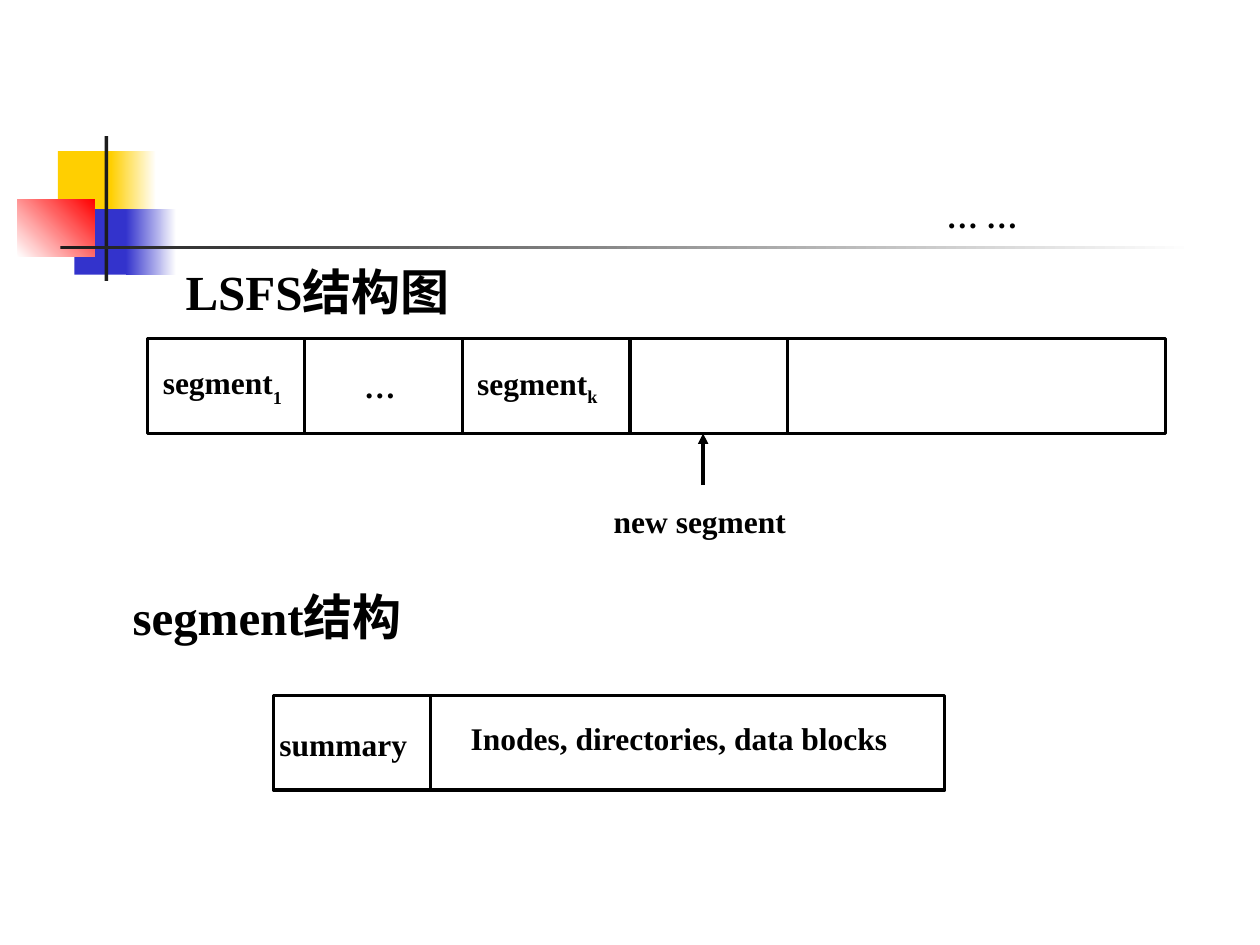
from typing import NamedTuple, Optional

from lxml import etree
from pptx import Presentation
from pptx import util as u
from pptx.dml import color
from pptx.enum import shapes, text
from pptx.oxml import ns

COLORS = {
    "black": "000000", "white": "FFFFFF", "yellow": "FFCF01",
    "blue": "3333CC", "red": "FF0000", "bar": "1C1C1C",
}
LATIN, CJK = "Times New Roman", "Noto Sans CJK SC"


class Block(NamedTuple):
    x: float
    y: float
    w: float
    h: float
    start: str
    end: Optional[str] = None
    angle: float = 0


class Strip(NamedTuple):
    x: float
    y: float
    w: float
    h: float
    dividers: tuple[float, ...]


class Label(NamedTuple):
    x: float
    y: float
    w: float
    h: float
    runs: tuple
    size: float = 18


DECOR = (
    Block(0.46, 1.2, 0.48, 0.52, "yellow"),
    Block(0.88, 1.2, 0.36, 0.52, "yellow", "white"),
    Block(0.59, 1.66, 0.46, 0.52, "blue"),
    Block(1, 1.66, 0.4, 0.52, "blue", "white"),
    Block(0.14, 1.58, 0.61, 0.46, "white", "red", 45),
    Block(0.83, 1.08, 0.03, 1.15, "bar"),
    Block(0.48, 1.95, 9, 0.03, "bar", "white"),
)
STRIPS = (
    Strip(1.17, 2.69, 8.08, 0.75, (2.42, 3.67, 5, 6.25)),
    Strip(2.17, 5.52, 5.33, 0.75, (3.42,)),
)
TITLE = Label(1.22, 2.02, 2.6, 0.58, (("LSFS", LATIN), ("结构图", CJK)), 28)
LABELS = (
    Label(1.14, 2.85, 1.25, 0.42, (("segment", LATIN), ("1", LATIN, -30))),
    Label(2.39, 2.85, 1.25, 0.42, (("…", LATIN),)),
    Label(3.64, 2.85, 1.25, 0.42, (("segment", LATIN), ("k", LATIN, -25))),
    Label(4.89, 3.97, 1.33, 0.33, (("new segment", LATIN),)),
    Label(7.17, 1.5, 1.25, 0.42, (("… …", LATIN),)),
    Label(0.62, 4.6, 3, 0.58, (("segment", LATIN), ("结构", CJK)), 28),
    Label(2.1, 5.69, 1.25, 0.42, (("summary", LATIN),)),
    Label(3.68, 5.69, 3.42, 0.33, (("Inodes, directories, data blocks", LATIN),)),
)


def rgb(name: str) -> color.RGBColor:
    return color.RGBColor.from_string(COLORS[name])


def add_rect(s, x: float, y: float, w: float, h: float):
    sp = s.shapes.add_shape(shapes.MSO_SHAPE.RECTANGLE, *map(u.Inches, (x, y, w, h)))
    sp.shadow.inherit = False
    return sp


def add_block(s, b: Block) -> None:
    sp = add_rect(s, b.x, b.y, b.w, b.h)
    sp.line.fill.background()
    if b.end is None:
        sp.fill.solid()
        sp.fill.fore_color.rgb = rgb(b.start)
        return
    sp.fill.gradient()
    sp.fill.gradient_angle = b.angle
    for stop, name, position in zip(sp.fill.gradient_stops, (b.start, b.end), (0, 1)):
        stop.color.rgb = rgb(name)
        stop.position = position


def add_line(s, x1: float, y1: float, x2: float, y2: float,
             width: float = 1.75, arrow: bool = False) -> None:
    ln = s.shapes.add_connector(shapes.MSO_CONNECTOR.STRAIGHT,
                                *map(u.Inches, (x1, y1, x2, y2)))
    ln.line.color.rgb = rgb("black")
    ln.line.width = u.Pt(width)
    if arrow:
        etree.SubElement(ln.line._get_or_add_ln(), ns.qn("a:tailEnd"), type="triangle")
    etree.SubElement(ln._element.spPr, ns.qn("a:effectLst"))


def add_strip(s, strip: Strip) -> None:
    sp = add_rect(s, strip.x, strip.y, strip.w, strip.h)
    sp.fill.background()
    sp.line.color.rgb = rgb("black")
    sp.line.width = u.Pt(1.75)
    for x in strip.dividers:
        add_line(s, x, strip.y, x, strip.y + strip.h)


def add_run(p, content: str, *, font: str, size: float, baseline: int = 0) -> None:
    r = p.add_run()
    r.text = content
    r.font.name = font
    r.font.size = u.Pt(size)
    r.font.bold = True
    r.font.color.rgb = rgb("black")
    if font == CJK:
        etree.SubElement(r.font._element, ns.qn("a:ea"), typeface=font)
    if baseline:
        r.font._element.set("baseline", str(baseline * 1000))


def write_label(sp, label: Label) -> None:
    sp.left, sp.top, sp.width, sp.height = map(u.Inches, label[:4])
    tf = sp.text_frame
    tf.word_wrap = False
    tf.auto_size = text.MSO_AUTO_SIZE.NONE
    tf.vertical_anchor = text.MSO_ANCHOR.MIDDLE
    p = tf.paragraphs[0]
    p.alignment = text.PP_ALIGN.CENTER
    for content, font, *baseline in label.runs:
        add_run(p, content, font=font, size=label.size, baseline=sum(baseline))


def main() -> None:
    prs = Presentation()
    prs.slide_width, prs.slide_height = u.Inches(10), u.Inches(7.5)
    s = prs.slides.add_slide(prs.slide_layouts[5])
    for block in DECOR:
        add_block(s, block)
    write_label(s.shapes.title, TITLE)
    for strip in STRIPS:
        add_strip(s, strip)
    add_line(s, 5.58, 3.85, 5.58, 3.44, width=2, arrow=True)
    for label in LABELS:
        write_label(s.shapes.add_textbox(0, 0, 0, 0), label)
    prs.save("out.pptx")


if __name__ == "__main__":
    main()
